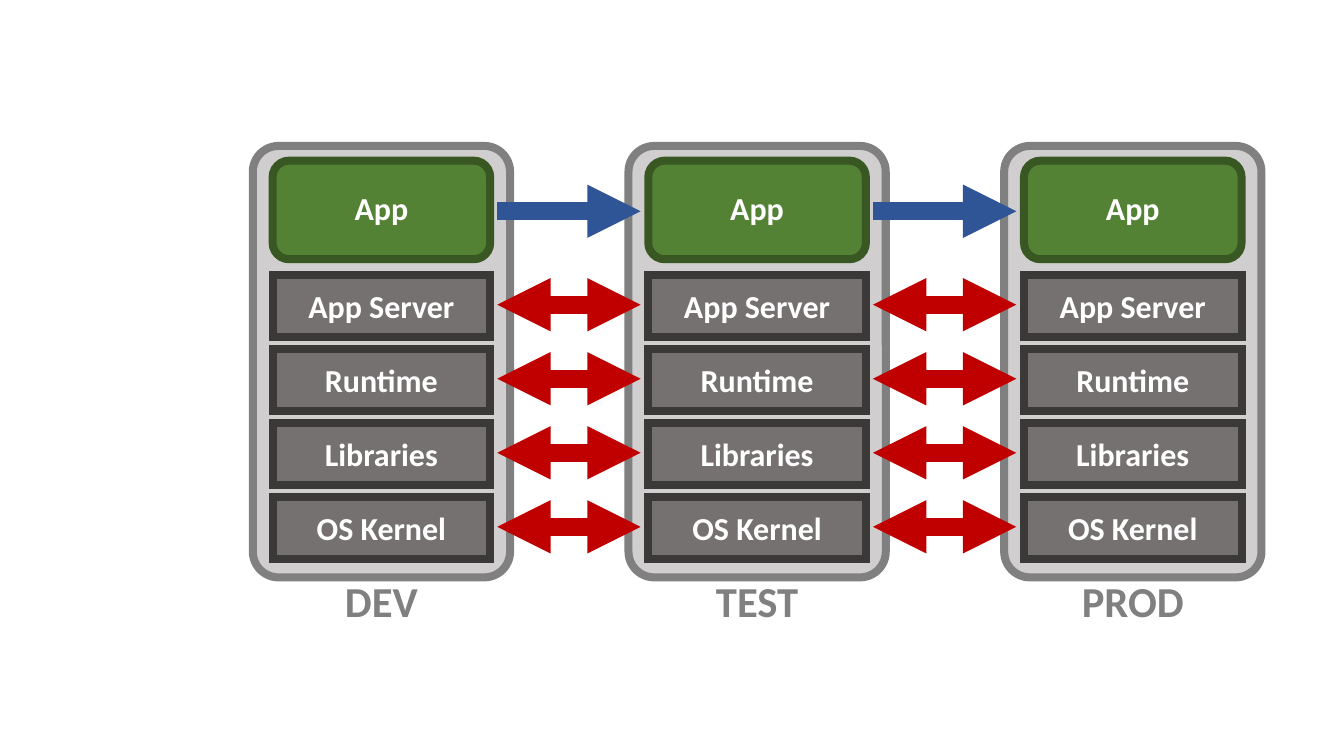
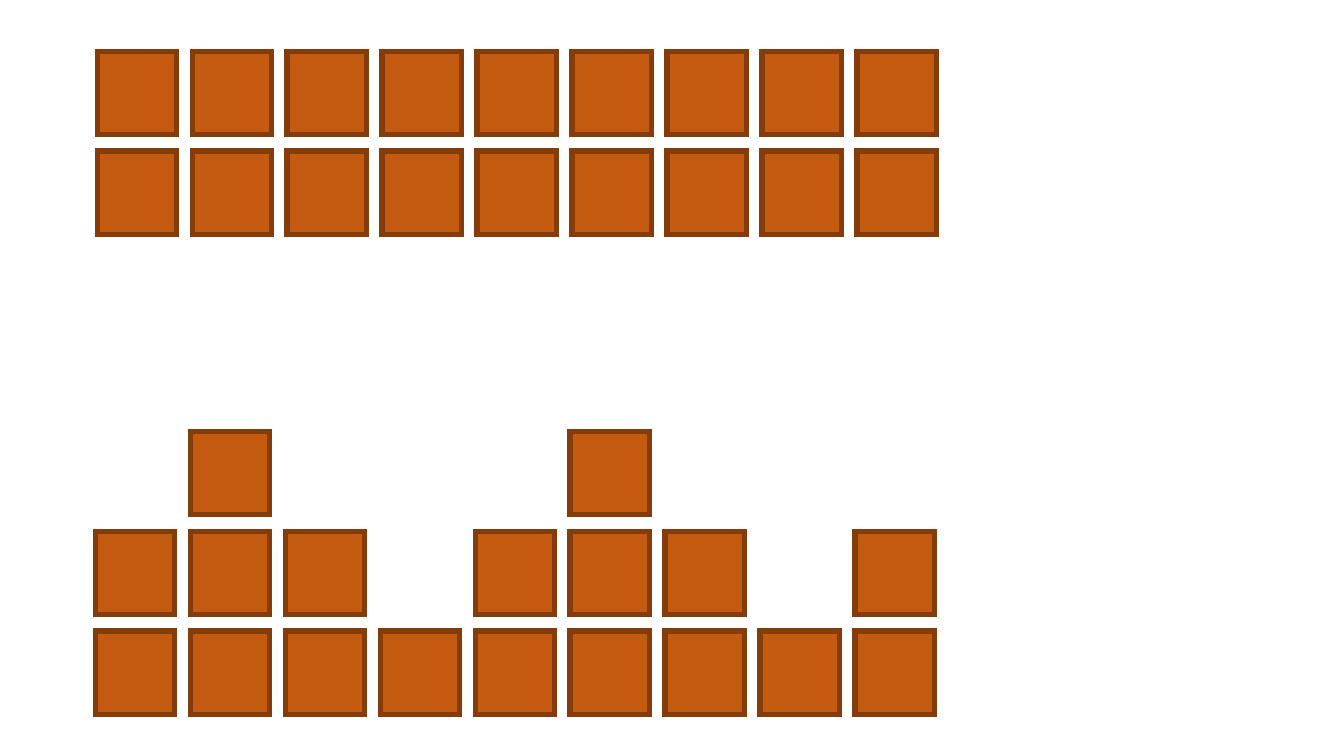
from lxml.etree import SubElement
from pptx import Presentation
from pptx.dml.color import RGBColor
from pptx.enum.shapes import MSO_CONNECTOR, MSO_SHAPE
from pptx.enum.text import MSO_ANCHOR, PP_ALIGN
from pptx.oxml.ns import qn
from pptx.util import Inches, Pt

COLORS = {
    "stage": "D0CECE", "stage_edge": "808080",
    "app": "548235", "app_edge": "385723",
    "layer": "767171", "layer_edge": "3B3838",
    "crate": "C55A11", "crate_edge": "843C0B",
    "promote": "2F5597", "drift": "C00000", "white": "FFFFFF",
}
FONT = "Calibri"
SLIDE_W, SLIDE_H = 21, 11.81

STAGES = ["DEV", "TEST", "PROD"]
LAYERS = ["App Server", "Runtime", "Libraries", "OS Kernel"]
STAGE_LEFT, STAGE_TOP, STAGE_W, STAGE_H = 3.95, 2.28, 4.02, 6.74
STAGE_PITCH = 5.87
BLOCK_INSET, BLOCK_W = 0.31, 3.4
APP_TOP, APP_H = 2.51, 1.54
LAYER_TOP, LAYER_H = 4.29, 0.97
LAYER_PITCH = 3.47 / 3
LABEL_H, CAPTION_H = 0.71, 0.91
ARROW_INSET, ARROW_W = 3.82, 2.24

CRATE_W, CRATE_H = 1.24, 1.3
CRATE_COL, CRATE_ROW = 11.87 / 8, 1.56
FULL_STACK = ["#########", "#########"]
SPARSE_STACK = [".#...#...", "###.###.#", "#########"]


def rgb(name):
    """Look up a palette colour."""
    return RGBColor.from_string(COLORS[name])


def add_block(slide, preset, left, top, width, height, role, line_width=9, corner=None):
    """Add a filled preset shape with a mitred edge."""
    block = slide.shapes.add_shape(
        preset, Inches(left), Inches(top), Inches(width), Inches(height))
    block.shadow.inherit = False
    block.fill.solid()
    block.fill.fore_color.rgb = rgb(role)
    block.line.color.rgb = rgb(role + "_edge")
    block.line.width = Pt(line_width)
    SubElement(block.line._get_or_add_ln(), qn("a:miter"), lim="800000")
    if corner is not None:
        block.adjustments[0] = corner


def add_text(slide, words, left, top, width, height, *, size=36, color="white"):
    """Add a centred bold line of text."""
    label = slide.shapes.add_textbox(
        Inches(left), Inches(top), Inches(width), Inches(height))
    frame = label.text_frame
    frame.word_wrap = True
    frame.vertical_anchor = MSO_ANCHOR.TOP
    paragraph = frame.paragraphs[0]
    paragraph.alignment = PP_ALIGN.CENTER
    run = paragraph.add_run()
    run.text = words
    run.font.name = FONT
    run.font.size = Pt(size)
    run.font.bold = True
    run.font.color.rgb = rgb(color)


def add_arrow(slide, left, middle, color, both_ways=False):
    """Add a thick horizontal arrow between two stages."""
    arrow = slide.shapes.add_connector(
        MSO_CONNECTOR.STRAIGHT, Inches(left), Inches(middle),
        Inches(left + ARROW_W), Inches(middle))
    arrow.line.color.rgb = rgb(color)
    arrow.line.width = Pt(20)
    edge = arrow.line._get_or_add_ln()
    for end in ("a:headEnd", "a:tailEnd") if both_ways else ("a:tailEnd",):
        SubElement(edge, qn(end), type="triangle")
    SubElement(arrow._element.spPr, qn("a:effectLst"))


def add_stage(slide, left, name):
    """Add one environment with its app, its layers and its name."""
    block_left = left + BLOCK_INSET
    add_block(slide, MSO_SHAPE.ROUNDED_RECTANGLE, left, STAGE_TOP,
              STAGE_W, STAGE_H, "stage", corner=0.1)
    add_block(slide, MSO_SHAPE.ROUNDED_RECTANGLE, block_left, APP_TOP,
              BLOCK_W, APP_H, "app")
    add_text(slide, "App", block_left, 2.9, BLOCK_W, LABEL_H)
    for row, layer in enumerate(LAYERS):
        top = LAYER_TOP + row * LAYER_PITCH
        add_block(slide, MSO_SHAPE.RECTANGLE, block_left, top, BLOCK_W, LAYER_H, "layer")
        add_text(slide, layer, block_left, top + (LAYER_H - LABEL_H) / 2, BLOCK_W, LABEL_H)
    add_text(slide, name, left, 8.93, STAGE_W, CAPTION_H, size=48, color="stage_edge")


def add_stage_links(slide, left):
    """Add the app promotion arrow and the layer drift arrows."""
    add_arrow(slide, left, 3.3, "promote")
    for row in range(len(LAYERS)):
        add_arrow(slide, left, 4.76 + row * LAYER_PITCH, "drift", both_ways=True)


def add_crates(slide, left, top, pattern):
    """Add a crate for every # in the rows of the pattern."""
    for row, marks in enumerate(pattern):
        for column, mark in enumerate(marks):
            if mark == "#":
                add_block(slide, MSO_SHAPE.RECTANGLE, left + column * CRATE_COL,
                          top + row * CRATE_ROW, CRATE_W, CRATE_H, "crate", line_width=6)


def main():
    """Build and save both slides."""
    deck = Presentation()
    deck.slide_width, deck.slide_height = Inches(SLIDE_W), Inches(SLIDE_H)
    blank = deck.slide_layouts[6]

    pipeline = deck.slides.add_slide(blank)
    lefts = [STAGE_LEFT + column * STAGE_PITCH for column in range(len(STAGES))]
    for left, name in zip(lefts, STAGES):
        add_stage(pipeline, left, name)
    for left in lefts[:-1]:
        add_stage_links(pipeline, left + ARROW_INSET)

    crates = deck.slides.add_slide(blank)
    add_crates(crates, 1.52, 0.8, FULL_STACK)
    add_crates(crates, 1.49, 6.74, SPARSE_STACK)

    deck.save("out.pptx")


if __name__ == "__main__":
    main()
